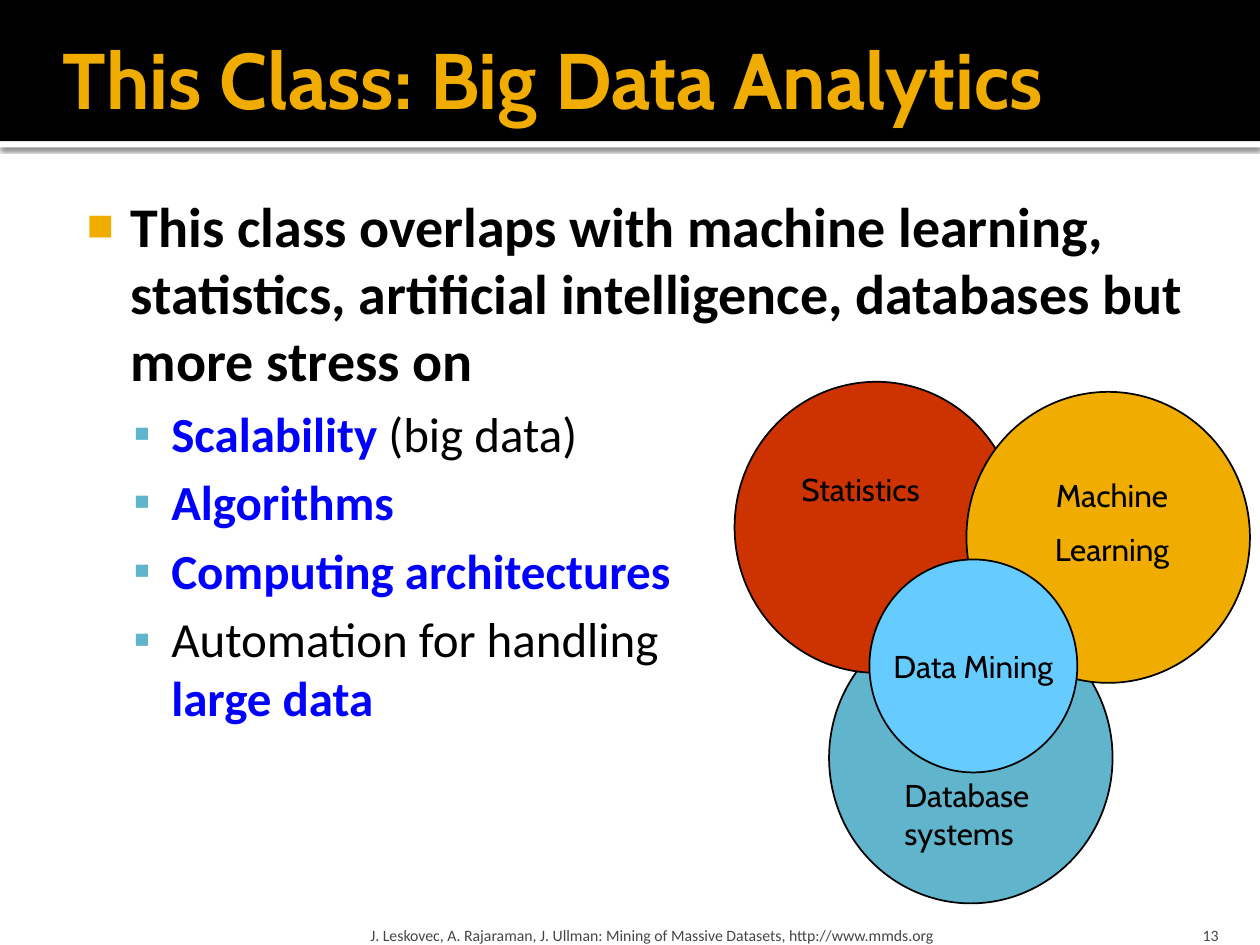
from lxml.etree import SubElement as Sub
from pptx import Presentation
from pptx.dml.color import RGBColor
from pptx.enum.shapes import MSO_SHAPE as Kind
from pptx.enum.text import MSO_ANCHOR as Anchor, PP_ALIGN as Align
from pptx.oxml.ns import qn
from pptx.util import Inches, Pt

INK, GOLD, TEAL, BLUE, GRAY = "000000", "F0AD00", "60B5CC", "0000FF", "454545"


def color(code):
    return RGBColor.from_string(code)


def put(item, values):
    for name, value in values.items():
        setattr(item, name, value)


class Deck:
    font = "Cabin"
    size = 18

    def __init__(self, slide):
        self.slide = slide

    def shape(self, kind, at, fill, line=None):
        item = self.slide.shapes.add_shape(kind, *map(Inches, at))
        item.shadow.inherit = False
        item.fill.solid()
        item.fill.fore_color.rgb = color(fill)
        if line:
            item.line.color.rgb = color(line)
            item.line.width = Pt(1)
        else:
            item.line.fill.background()
        return item

    def shade(self, item):
        glow = item._element.spPr.find(qn("a:effectLst"))
        drop = Sub(glow, qn("a:outerShdw"), blurRad=str(Pt(2.5)),
                   dist=str(Pt(0.8)), dir="5400000", algn="t", rotWithShape="0")
        tone = Sub(drop, qn("a:srgbClr"), val=INK)
        Sub(tone, qn("a:alpha"), val="60000")

    def box(self, at, pad=(0.1, 0.05, 0.1, 0.05), anchor=Anchor.TOP):
        frame = self.slide.shapes.add_textbox(*map(Inches, at)).text_frame
        self.frame(frame, pad, anchor)
        return frame

    def frame(self, frame, pad, anchor, wrap=True):
        sides = ("margin_left", "margin_top", "margin_right", "margin_bottom")
        put(frame, dict(zip(sides, map(Inches, pad))))
        put(frame, {"word_wrap": wrap, "vertical_anchor": anchor})

    def para(self, frame, runs, align=Align.LEFT, before=0, **look):
        first = frame.paragraphs[0]
        para = frame.add_paragraph() if first.runs else first
        put(para, {"alignment": align, "space_before": Pt(before)})
        for text, tint, bold in runs:
            run = para.add_run()
            run.text = text.rstrip("\n")
            font = {"name": self.font, "size": Pt(self.size), "bold": bold}
            put(run.font, font | look)
            run.font.color.rgb = color(tint)
            if text.endswith("\n"):
                para.add_line_break()
        return para

    def bullet(self, para, mark, tint, left, hang, scale=100):
        props = para._p.get_or_add_pPr()
        props.set("marL", str(Inches(left)))
        props.set("indent", str(-Inches(hang)))
        tone = Sub(props, qn("a:buClr"))
        Sub(tone, qn("a:srgbClr"), val=tint)
        Sub(props, qn("a:buSzPct"), val=str(scale * 1000))
        Sub(props, qn("a:buFont"), typeface="Arial")
        Sub(props, qn("a:buChar"), char=mark)

    def label(self, at, lines, align=Align.CENTER, pad=(0.1, 0.05, 0.1, 0.05)):
        frame = self.box(at, pad)
        for line in lines:
            self.para(frame, [(line, INK, False)], align, 9)


def main():
    show = Presentation()
    show.slide_width, show.slide_height = Inches(10), Inches(7.5)
    deck = Deck(show.slides.add_slide(show.slide_layouts[6]))

    deck.shade(deck.shape(Kind.RECTANGLE, (0, 1.12, 10, 0.05), "FFFFFF"))
    deck.shape(Kind.RECTANGLE, (0, 0, 10, 1.12), INK)
    title = deck.box((0.5, 0.08, 9, 1.08), (0, 0.05, 0, 0.05), Anchor.MIDDLE)
    deck.para(title, [("This Class: Big Data Analytics", GOLD, True)], size=Pt(45))

    body = deck.box((0.5, 1.42, 9, 5.75), (0.06, 0.1, 0.1, 0.05))
    lead = ("This class overlaps with machine learning, statistics, "
            "artificial intelligence, databases but more stress on")
    para = deck.para(body, [(lead, INK, True)], name="Calibri", size=Pt(32))
    deck.bullet(para, "■", GOLD, 0.48, 0.35, 80)
    points = [
        [("Scalability ", BLUE, True), ("(big data)", INK, False)],
        [("Algorithms", BLUE, True)],
        [("Computing architectures", BLUE, True)],
        [("Automation for handling \n", INK, False), ("large data", BLUE, True)],
    ]
    for runs in points:
        para = deck.para(body, runs, before=5.6, name="Calibri", size=Pt(28))
        para.level = 1
        deck.bullet(para, "▪", TEAL, 0.8, 0.3)

    credit = "J. Leskovec, A. Rajaraman, J. Ullman: Mining of Massive Datasets, http://www.mmds.org"
    for text, left, width, side, align in [
        ("13", 8.97, 0.8, 0.1, Align.RIGHT),
        (credit, 2.89, 6.02, 0.05, Align.LEFT),
    ]:
        foot = deck.box((left, 7.2, width, 0.3), (side, 0.05, side, 0), Anchor.BOTTOM)
        deck.para(foot, [(text, GRAY, False)], align, name="Calibri", size=Pt(9))

    for left, top, fill in [(6.58, 4.86, TEAL), (5.83, 3.03, "CC3300"), (7.67, 3.11, GOLD)]:
        deck.shape(Kind.OVAL, (left, top, 2.25, 2.31), fill, INK)
    deck.label((7.7, 3.73, 2.25, 0.86), ["Machine", "Learning"], pad=(0, 0.05, 0, 0.05))
    deck.label((6.08, 3.68, 1.5, 0.4), ["Statistics"])
    core = deck.shape(Kind.OVAL, (6.9, 4.44, 1.65, 1.69), "66CCFF", INK).text_frame
    deck.frame(core, (0.1, 0.05, 0.1, 0.05), Anchor.MIDDLE, False)
    deck.para(core, [("Data Mining", INK, False)], Align.CENTER)
    deck.label((7.08, 6.11, 1.58, 0.7), ["Database systems"], Align.LEFT)

    show.save("out.pptx")


if __name__ == "__main__":
    main()
